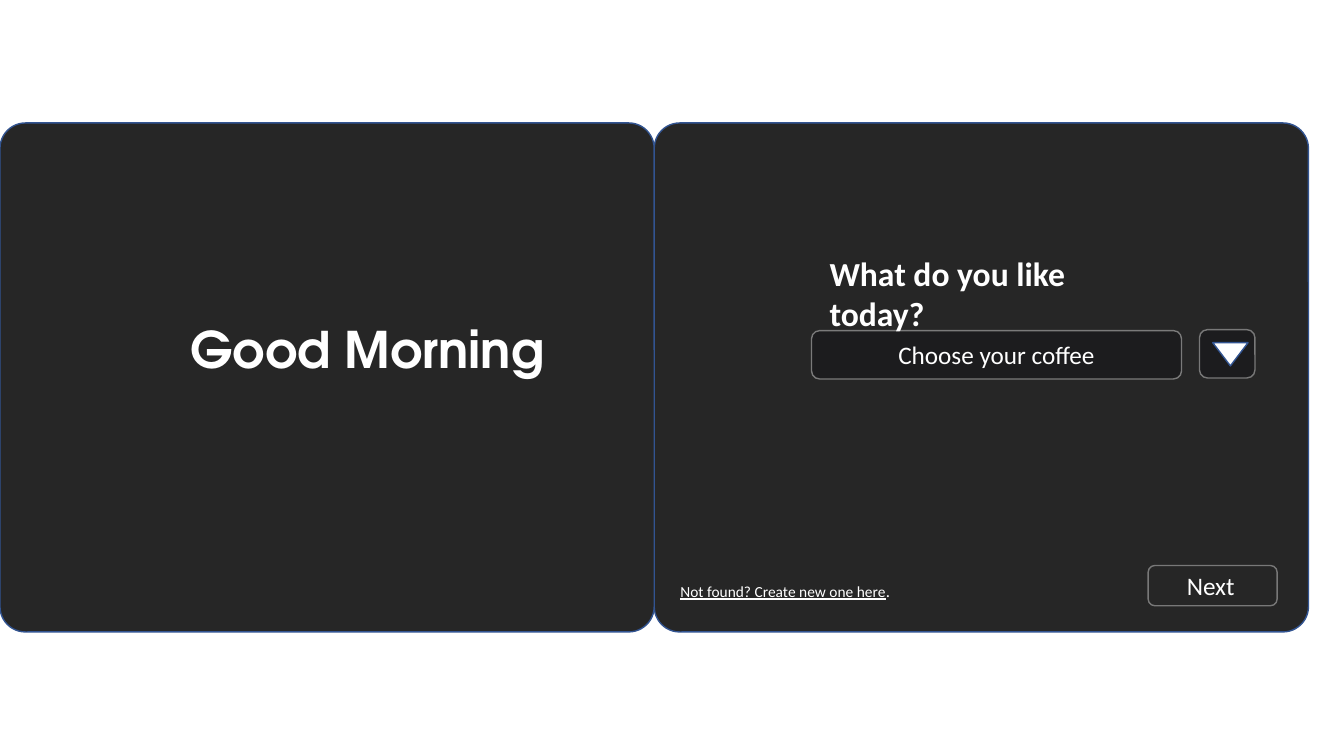
from pptx import Presentation
from pptx.dml.color import RGBColor
from pptx.enum.shapes import MSO_SHAPE
from pptx.enum.text import MSO_ANCHOR, PP_ALIGN
from pptx.util import Inches, Pt

COLOURS = {
    "panel": "262626",
    "panel edge": "325491",
    "field": "1C1C1E",
    "field edge": "7A7A7A",
    "button edge": "787878",
    "white": "FFFFFF",
}


class Screen:
    """Holds the style and slide; boxes are percentages of the slide's size."""

    body_font = "Calibri"
    greeting_font = "TeX Gyre Adventor"

    def __init__(self, deck):
        self.deck = deck
        self.slide = deck.slides.add_slide(deck.slide_layouts[5])

    def place(self, box):
        width, height = self.deck.slide_width, self.deck.slide_height
        return [int(share * full / 100)
                for share, full in zip(box, (width, height, width, height))]

    def colour(self, name):
        return RGBColor.from_string(COLOURS[name])

    def add_text(self, frame, runs, align, anchor, font=None, bold=False):
        frame.word_wrap = True
        frame.vertical_anchor = anchor
        paragraph = frame.paragraphs[0]
        paragraph.alignment = align
        for words, size, underline in runs:
            run = paragraph.add_run()
            run.text = words
            run.font.name = font or self.body_font
            run.font.size = Pt(size)
            run.font.bold = bold
            run.font.underline = underline
            run.font.color.rgb = self.colour("white")

    def shape(self, box, fill=None, edge=None, kind=MSO_SHAPE.ROUNDED_RECTANGLE,
              corner=None, turn=0, runs=()):
        shape = self.slide.shapes.add_shape(kind, *self.place(box))
        shape.shadow.inherit = False
        shape.rotation = turn
        if corner is not None:
            shape.adjustments[0] = corner
        if fill:
            shape.fill.solid()
            shape.fill.fore_color.rgb = self.colour(fill)
        else:
            shape.fill.background()
        if edge:
            shape.line.color.rgb = self.colour(edge)
            shape.line.width = Pt(1)
        else:
            shape.line.fill.background()
        if runs:
            self.add_text(shape.text_frame, runs, PP_ALIGN.CENTER, MSO_ANCHOR.MIDDLE)

    def label(self, box, words, size):
        label = self.slide.shapes.add_textbox(*self.place(box))
        self.add_text(label.text_frame, [(words, size, False)],
                      PP_ALIGN.LEFT, MSO_ANCHOR.TOP, bold=True)

    def title(self, box, words, size):
        title = self.slide.shapes.title
        title.left, title.top, title.width, title.height = self.place(box)
        self.add_text(title.text_frame, [(words, size, False)], PP_ALIGN.LEFT,
                      MSO_ANCHOR.TOP, font=self.greeting_font, bold=True)
        # Bring the greeting in front of the panels
        self.slide.shapes.element.append(title.element)


def main():
    deck = Presentation()
    deck.slide_width, deck.slide_height = Inches(13.33), Inches(7.5)
    screen = Screen(deck)

    # Two screens side by side
    panel_width = 48.68
    for column in (1, 0):
        screen.shape((column * panel_width, 16.27, panel_width, 67.33),
                     "panel", "panel edge", corner=0.05)

    # Greeting screen
    screen.title((13.43, 41.47, 32.55, 9.47), "Good Morning", 36)

    # Coffee choice with its drop-down button
    screen.shape((60.38, 43.73, 27.53, 6.4), "field", "field edge",
                 runs=[("Choose your coffee", 18, False)])
    screen.shape((89.25, 43.6, 4.13, 6.4), "field", "button edge")
    screen.shape((90.23, 45.33, 2.63, 3.07), "white", "panel edge",
                 kind=MSO_SHAPE.ISOSCELES_TRIANGLE, turn=180)
    screen.label((60.98, 32.8, 26.4, 10.8), "What do you like today?", 24)

    # Footer actions
    screen.shape((panel_width, 75.47, 19.5, 5.33),
                 runs=[("Not found? Create new one here", 11, True), (".", 12, False)])
    screen.shape((85.43, 74.8, 9.6, 5.33), edge="button edge",
                 runs=[("Next", 18, False), (" ", 12, False)])

    deck.save("out.pptx")


if __name__ == "__main__":
    main()
